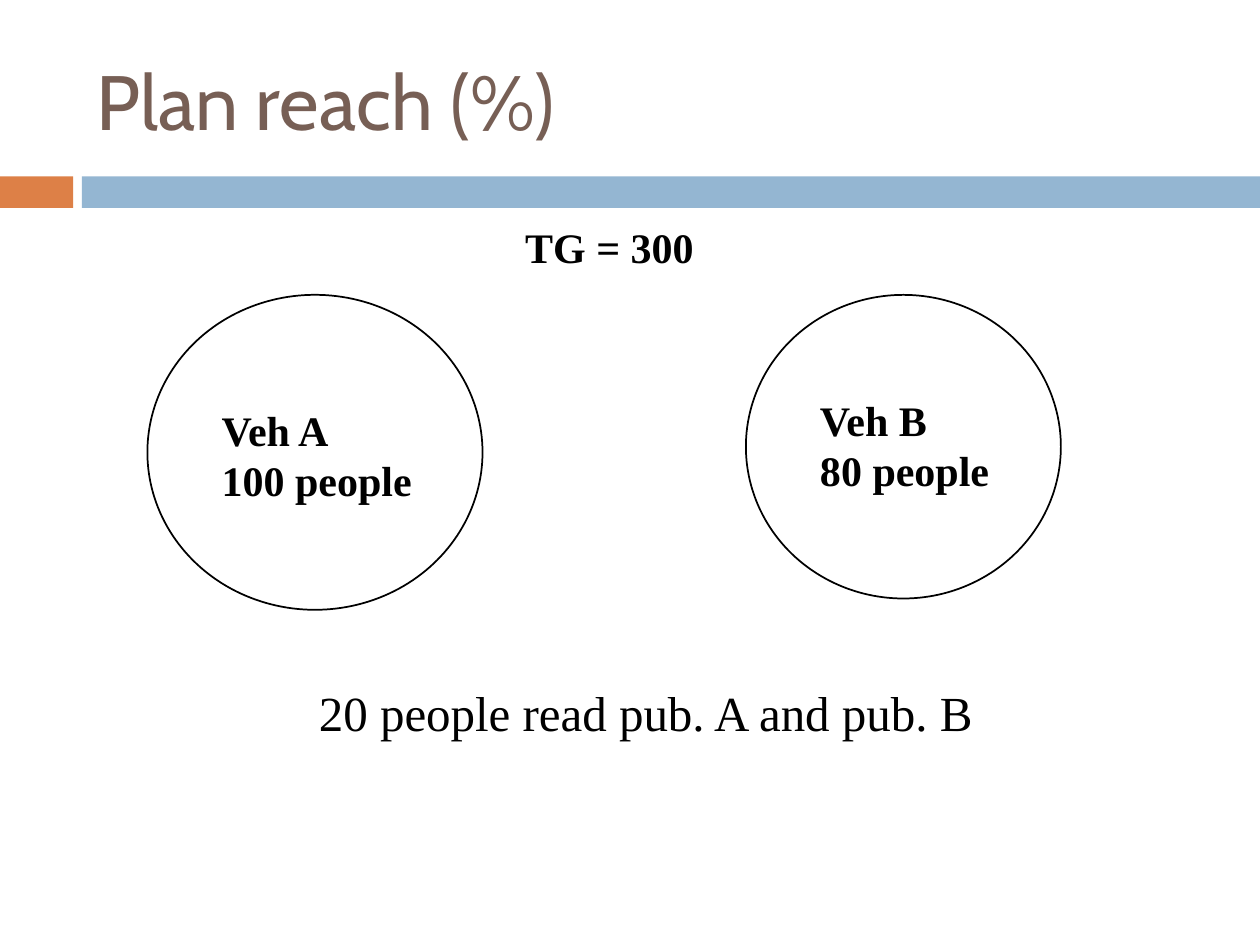
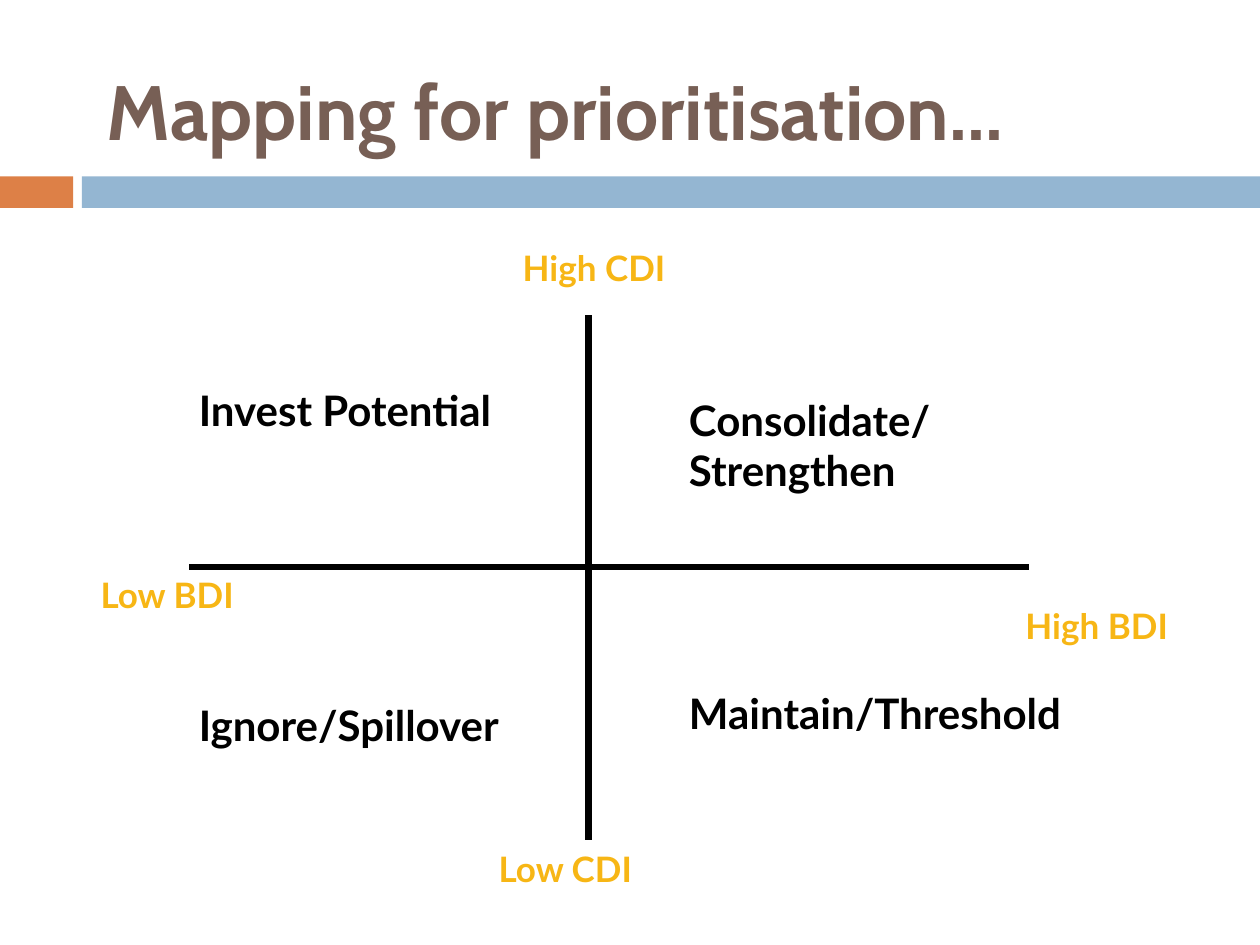
"""Build two media planning slides: plan reach and market prioritisation."""
from dataclasses import dataclass

from lxml.etree import SubElement
from pptx import Presentation
from pptx.dml.color import RGBColor
from pptx.enum.shapes import MSO_CONNECTOR, MSO_SHAPE
from pptx.enum.text import MSO_ANCHOR, MSO_AUTO_SIZE, PP_ALIGN
from pptx.oxml.ns import qn
from pptx.slide import Slide
from pptx.util import Inches, Pt


@dataclass(frozen=True)
class Theme:
    ink: RGBColor = RGBColor(0x00, 0x00, 0x00)
    title: RGBColor = RGBColor(0x77, 0x5F, 0x55)
    orange: RGBColor = RGBColor(0xDD, 0x80, 0x47)
    blue: RGBColor = RGBColor(0x94, 0xB6, 0xD2)
    amber: RGBColor = RGBColor(0xF7, 0xB6, 0x15)
    title_font: str = "Cabin"
    reach_font: str = "Times New Roman"
    map_font: str = "Lato"
    title_size: int = 44
    note_size: int = 28
    label_size: int = 24
    axis_size: int = 20
    circle_line: int = 1
    axis_line: int = 4


THEME = Theme()


@dataclass(frozen=True)
class Box:
    left: float
    top: float
    width: float
    height: float

    def lengths(self) -> tuple:
        return tuple(Inches(n) for n in (self.left, self.top, self.width, self.height))


@dataclass(frozen=True)
class TextStyle:
    font: str
    size: int
    color: RGBColor = THEME.ink
    bold: bool = True
    wrap: bool = False
    align: PP_ALIGN = PP_ALIGN.LEFT
    anchor: MSO_ANCHOR = MSO_ANCHOR.TOP
    grow: bool = True


@dataclass(frozen=True)
class Label:
    text: str
    box: Box


@dataclass(frozen=True)
class Axis:
    x1: float
    y1: float
    x2: float
    y2: float


REACH_LABEL = TextStyle(THEME.reach_font, THEME.label_size)
REACH_NOTE = TextStyle(THEME.reach_font, THEME.note_size, bold=False, wrap=True,
                       align=PP_ALIGN.CENTER)
QUADRANT = TextStyle(THEME.map_font, THEME.label_size)
AXIS_END = TextStyle(THEME.map_font, THEME.axis_size, THEME.amber)

BANDS = ((Box(0, 1.4, 0.58, 0.25), THEME.orange),
         (Box(0.65, 1.4, 9.35, 0.25), THEME.blue))

VEHICLE_CIRCLES = (Box(1.17, 2.34, 2.66, 2.5), Box(5.92, 2.34, 2.5, 2.41))
REACH_LABELS = (
    Label("Veh A\n100 people", Box(1.66, 3.16, 1.71, 0.9)),
    Label("Veh B\n80 people", Box(6.41, 3.08, 1.54, 0.9)),
    Label("TG = 300", Box(4.07, 1.71, 1.54, 0.5)),
)
OVERLAP_NOTE = Label("20 people read pub. A and pub. B", Box(1, 5.37, 8.25, 0.56))

MAP_AXES = (Axis(4.67, 2.5, 4.67, 6.67), Axis(1.5, 4.5, 8.17, 4.5))
AXIS_ENDS = (
    Label("Low CDI", Box(3.86, 6.68, 1.33, 0.44)),
    Label("High CDI", Box(4.05, 1.91, 1.42, 0.44)),
    Label("High BDI", Box(8.04, 4.75, 1.43, 0.44)),
    Label("Low BDI", Box(0.7, 4.5, 1.34, 0.44)),
)
QUADRANTS = (
    Label("Invest Potential", Box(1.48, 3, 2.86, 0.5)),
    Label("Consolidate/\nStrengthen", Box(5.37, 3.08, 2.3, 0.9)),
    Label("Ignore/Spillover", Box(1.48, 5.5, 2.89, 0.5)),
    Label("Maintain/Threshold", Box(5.37, 5.41, 3.5, 0.5)),
)


def draw_label(slide: Slide, label: Label, style: TextStyle) -> None:
    frame = slide.shapes.add_textbox(*label.box.lengths()).text_frame
    frame.text = label.text
    frame.word_wrap = style.wrap
    frame.vertical_anchor = style.anchor
    frame.auto_size = MSO_AUTO_SIZE.SHAPE_TO_FIT_TEXT if style.grow else MSO_AUTO_SIZE.NONE
    for paragraph in frame.paragraphs:
        paragraph.alignment = style.align
        for run in paragraph.runs:
            run.font.name = style.font
            run.font.size = Pt(style.size)
            run.font.bold = style.bold
            run.font.color.rgb = style.color


def draw_labels(slide: Slide, labels: tuple[Label, ...], style: TextStyle) -> None:
    for label in labels:
        draw_label(slide, label, style)


def draw_band(slide: Slide, box: Box, color: RGBColor) -> None:
    band = slide.shapes.add_shape(MSO_SHAPE.RECTANGLE, *box.lengths())
    band.shadow.inherit = False
    band.fill.solid()
    band.fill.fore_color.rgb = color
    band.line.fill.background()


def draw_circle(slide: Slide, box: Box) -> None:
    circle = slide.shapes.add_shape(MSO_SHAPE.OVAL, *box.lengths())
    circle.shadow.inherit = False
    circle.fill.background()
    circle.line.color.rgb = THEME.ink
    circle.line.width = Pt(THEME.circle_line)


def draw_axis(slide: Slide, axis: Axis) -> None:
    ends = (Inches(n) for n in (axis.x1, axis.y1, axis.x2, axis.y2))
    connector = slide.shapes.add_connector(MSO_CONNECTOR.STRAIGHT, *ends)
    connector.line.color.rgb = THEME.ink
    connector.line.width = Pt(THEME.axis_line)
    SubElement(connector._element.spPr, qn("a:effectLst"))


def add_titled_slide(deck: Presentation, title: Label, bold: bool) -> Slide:
    slide = deck.slides.add_slide(deck.slide_layouts[6])
    for box, color in BANDS:
        draw_band(slide, box, color)
    draw_label(slide, title, TextStyle(THEME.title_font, THEME.title_size, THEME.title, bold,
                                       wrap=True, anchor=MSO_ANCHOR.MIDDLE, grow=False))
    return slide


def build_reach_slide(deck: Presentation) -> None:
    slide = add_titled_slide(deck, Label("Plan reach (%)", Box(0.67, 0.25, 8.92, 1.08)), False)
    for circle in VEHICLE_CIRCLES:
        draw_circle(slide, circle)
    draw_labels(slide, REACH_LABELS, REACH_LABEL)
    draw_label(slide, OVERLAP_NOTE, REACH_NOTE)


def build_mapping_slide(deck: Presentation) -> None:
    title = Label("Mapping for prioritisation...", Box(0.75, 0.33, 8.5, 1.08))
    slide = add_titled_slide(deck, title, True)
    for axis in MAP_AXES:
        draw_axis(slide, axis)
    draw_labels(slide, AXIS_ENDS, AXIS_END)
    draw_labels(slide, QUADRANTS, QUADRANT)


def main() -> None:
    deck = Presentation()
    deck.slide_width, deck.slide_height = Inches(10), Inches(7.5)
    build_reach_slide(deck)
    build_mapping_slide(deck)
    deck.save("out.pptx")


if __name__ == "__main__":
    main()
